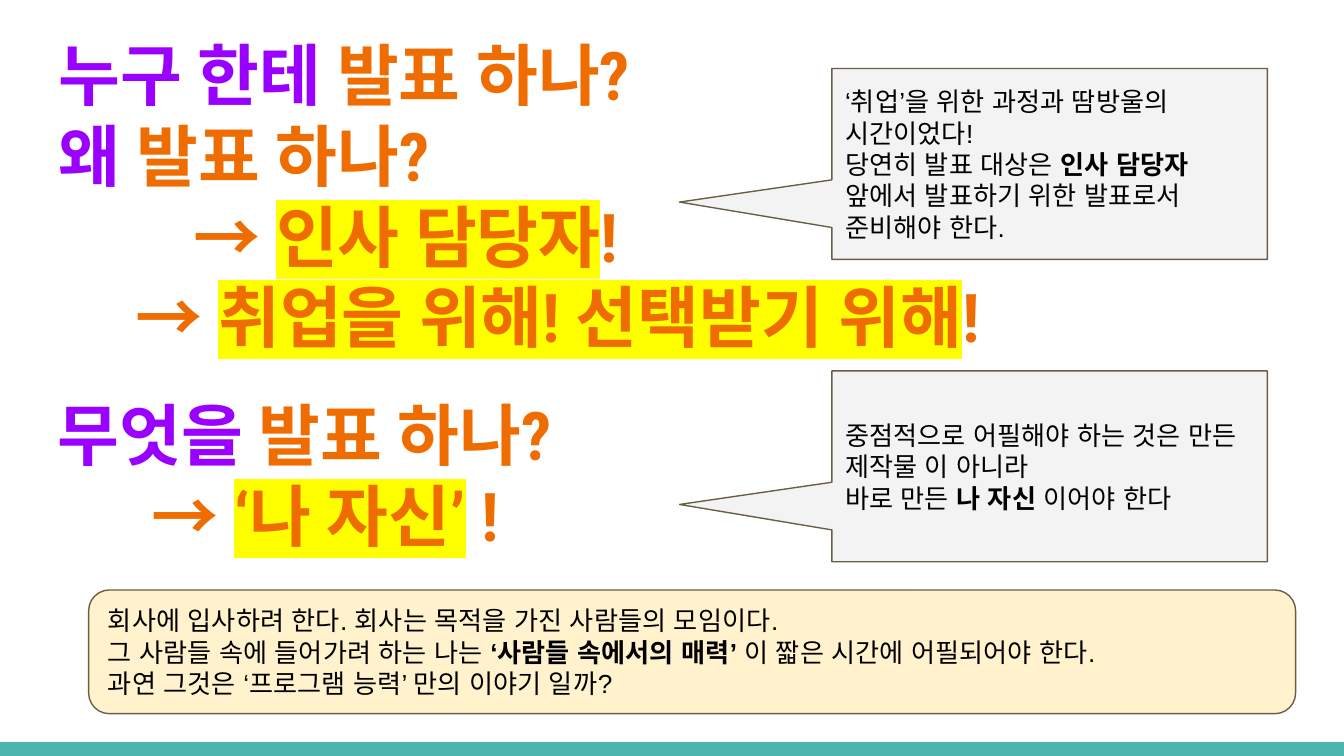
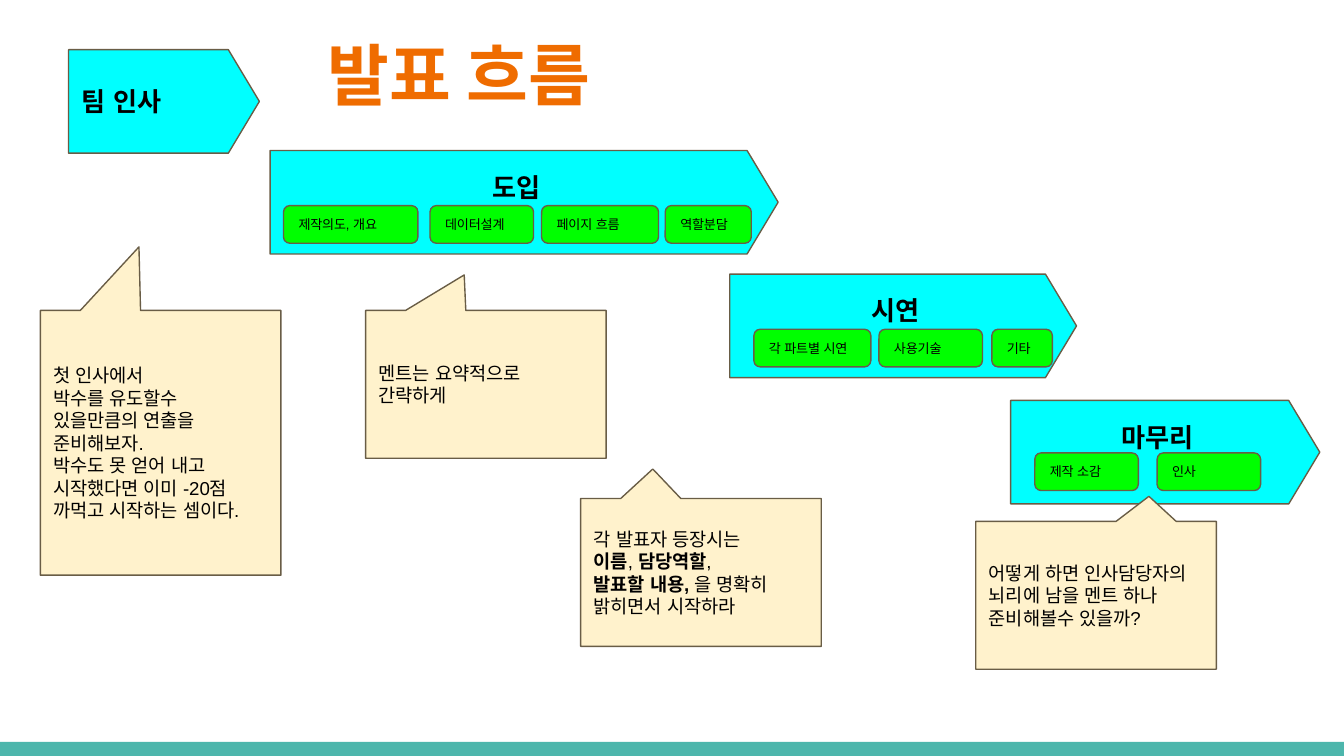
import pptx
import pptx.dml.color
import pptx.enum.shapes
import pptx.enum.text
import pptx.oxml
import pptx.oxml.ns
import pptx.util

PX = 9144  # 100 px to the inch
SHAPE = pptx.enum.shapes.MSO_SHAPE
ALIGN = pptx.enum.text.PP_ALIGN
ANCHOR = pptx.enum.text.MSO_ANCHOR
qn = pptx.oxml.ns.qn

PURPLE, ORANGE, YELLOW = "9900FF", "EF6C00", "FFFF00"
TEAL, CYAN, GREEN = "4DB6AC", "00FFFF", "00FF00"
GREY, CREAM, BROWN, BLACK = "F3F3F3", "FFF2CC", "695D46", "000000"
HEAD_FONT, BODY_FONT = "Roboto Condensed", "Arial"


def rgb(hex_color):
    return pptx.dml.color.RGBColor.from_string(hex_color)


def child(tag, **attrs):
    el = pptx.oxml.parse_xml(f"<a:{tag} {pptx.oxml.ns.nsdecls('a')}/>")
    for name, value in attrs.items():
        el.set(name, value)
    return el


def add_run(p, text, size=14, font=BODY_FONT, color=BLACK, bold=False, highlight=None):
    r = p.add_run()
    r.text = text
    r.font.size = pptx.util.Pt(size)
    r.font.bold = bold
    r.font.color.rgb = rgb(color)
    r.font.name = font
    latin = r.font._element.find(qn("a:latin"))
    latin.addnext(child("ea", typeface=font))
    if highlight:
        mark = child("highlight")
        mark.append(child("srgbClr", val=highlight))
        latin.addprevious(mark)


def write(sp, paragraphs, anchor=ANCHOR.MIDDLE, align=ALIGN.LEFT, bottom=10,
          indents=(), **style):
    """Fill sp; a paragraph is a string or a list of strings and (string, format) pairs."""
    tf = sp.text_frame
    tf.word_wrap = True
    tf.vertical_anchor = anchor
    tf.margin_left = tf.margin_right = tf.margin_top = 10 * PX
    tf.margin_bottom = bottom * PX
    for i, runs in enumerate(paragraphs):
        p = tf.add_paragraph() if i else tf.paragraphs[0]
        p.alignment = align
        if i in indents:
            p._p.get_or_add_pPr().set("marL", str(indents[i] * PX))
        for run in [runs] if isinstance(runs, str) else runs:
            text, extra = (run, {}) if isinstance(run, str) else run
            add_run(p, text, **{**style, **extra})


class Deck:
    def __init__(self):
        self.prs = pptx.Presentation()
        self.prs.slide_width = 1000 * PX
        self.prs.slide_height = pptx.util.Emu(5143500)
        self.s = None

    def slide(self):
        self.s = self.prs.slides.add_slide(self.prs.slide_layouts[6])
        self.shape(SHAPE.RECTANGLE, (0, 552, 1000, 11), TEAL, line=None)

    def shape(self, kind, box, fill, adjust=(), line=BROWN):
        sp = self.s.shapes.add_shape(kind, *(v * PX for v in box))
        sp.shadow.inherit = False
        sp.fill.solid()
        sp.fill.fore_color.rgb = rgb(fill)
        if line:
            sp.line.color.rgb = rgb(line)
            sp.line.width = pptx.util.Pt(0.75)
        else:
            sp.line.fill.background()
        for i, value in enumerate(adjust):
            sp.adjustments[i] = value
        return sp

    def heading(self, box, paragraphs, indents=()):
        sp = self.s.shapes.add_textbox(*(v * PX for v in box))
        write(sp, paragraphs, anchor=ANCHOR.TOP, indents=indents,
              size=36, font=HEAD_FONT, color=ORANGE, bold=True)

    def callout(self, box, tip, paragraphs, fill=CREAM, size=10):
        sp = self.shape(SHAPE.ROUNDED_RECTANGULAR_CALLOUT, box, fill, (*tip, 0))
        write(sp, paragraphs, size=size)

    def panel(self, box, paragraphs, fill=CREAM, size=14):
        write(self.shape(SHAPE.ROUNDED_RECTANGLE, box, fill), paragraphs, size=size)

    def step(self, x, y, w, name, chip_y=None, chips=()):
        """Draw an arrow plate; with chips, its name is centred above them."""
        sp = self.shape(SHAPE.PENTAGON, (x, y, w, 77), CYAN, (0.3,))
        layout = dict(align=ALIGN.CENTER, bottom=33) if chips else {}
        write(sp, [name], bold=True, **layout)
        for chip_x, chip_w, label in chips:
            self.panel((chip_x, chip_y, chip_w, 28), [label], fill=GREEN, size=7)


def audience_slide(deck):
    purple, marked, bold = dict(color=PURPLE), dict(highlight=YELLOW), dict(bold=True)
    deck.slide()
    deck.heading((34, 15, 898, 260), [
        [("누구 한테", purple), " 발표 하나?"],
        [("왜", purple), " 발표 하나?"],
        ["→ ", ("인사 담당자", marked), "!"],
        ["→ ", ("취업을 위해! 선택받기 위해", marked), "!"],
    ], indents={2: 100, 3: 57})
    deck.heading((33, 283, 474, 142), [
        [("무엇을", purple), " 발표 하나?"],
        ["→ ", ("‘나 자신’", marked), " !"],
    ], indents={1: 70})
    notes = [
        (51, ["‘취업’을 위한 과정과 땀방울의 시간이었다!",
              ["당연히 발표 대상은 ", ("인사 담당자", bold)],
              "앞에서 발표하기 위한 발표로서",
              "준비해야 한다."]),
        (276, ["중점적으로 어필해야 하는 것은 만든 제작물 이 아니라",
               ["바로 만든 ", ("나 자신", bold), " 이어야 한다"]]),
    ]
    for y, paragraphs in notes:
        deck.callout((619, y, 324, 142), (-0.85, 0.2), paragraphs, fill=GREY, size=14)
    deck.panel((66, 439, 898, 92), [
        "회사에 입사하려 한다. 회사는 목적을 가진 사람들의 모임이다.",
        ["그 사람들 속에 들어가려 하는 나는 ", ("‘사람들 속에서의 매력’", bold),
         " 이 짧은 시간에 어필되어야 한다."],
        "과연 그것은 ‘프로그램 능력’ 만의 이야기 일까?",
    ])


def flow_slide(deck):
    bold = dict(bold=True)
    deck.slide()
    deck.heading((234, 15, 310, 77), ["발표 흐름"])
    deck.step(51, 37, 142, "팀 인사")
    deck.step(201, 112, 378, "도입", 153, [
        (211, 100, "제작의도, 개요"), (320, 77, "데이터설계"),
        (403, 87, "페이지 흐름"), (495, 64, "역할분담")])
    deck.step(543, 204, 258, "시연", 245, [
        (561, 87, "각 파트별 시연"), (654, 77, "사용기술"), (738, 45, "기타")])
    deck.step(752, 298, 230, "마무리", 337, [
        (770, 77, "제작 소감"), (861, 77, "인사")])
    tips = [
        (30, 231, 197, (-0.09, -0.74), [
            "첫 인사에서",
            "박수를 유도할수 있을만큼의 연출을 준비해보자.",
            "박수도 못 얻어 내고",
            "시작했다면 이미 -20점 까먹고 시작하는 셈이다."]),
        (272, 231, 110, (-0.09, -0.74), ["멘트는 요약적으로 간략하게"]),
        (432, 371, 110, (-0.2, -0.7), [
            "각 발표자 등장시는",
            [("이름", bold), ", ", ("담당역할", bold), ","],
            [("발표할 내용, ", bold), "을 명확히 밝히면서 시작하라"]]),
        (726, 388, 110, (0.22, -0.67), [
            "어떻게 하면 인사담당자의 뇌리에 남을 멘트 하나 준비해볼수 있을까?"]),
    ]
    for x, y, h, tip, paragraphs in tips:
        deck.callout((x, y, 179, h), tip, paragraphs)


def main():
    deck = Deck()
    audience_slide(deck)
    flow_slide(deck)
    deck.prs.save("out.pptx")


if __name__ == "__main__":
    main()
